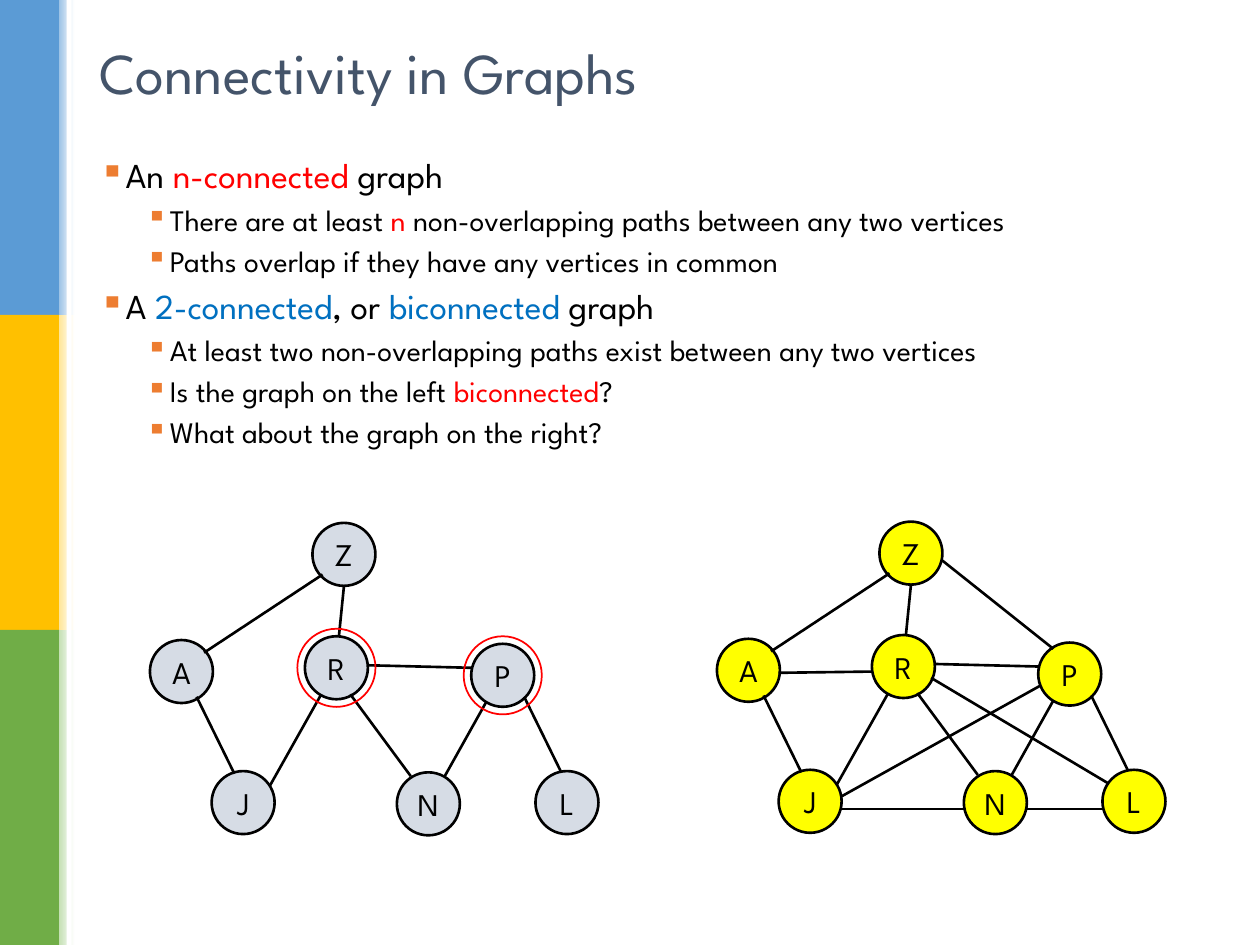
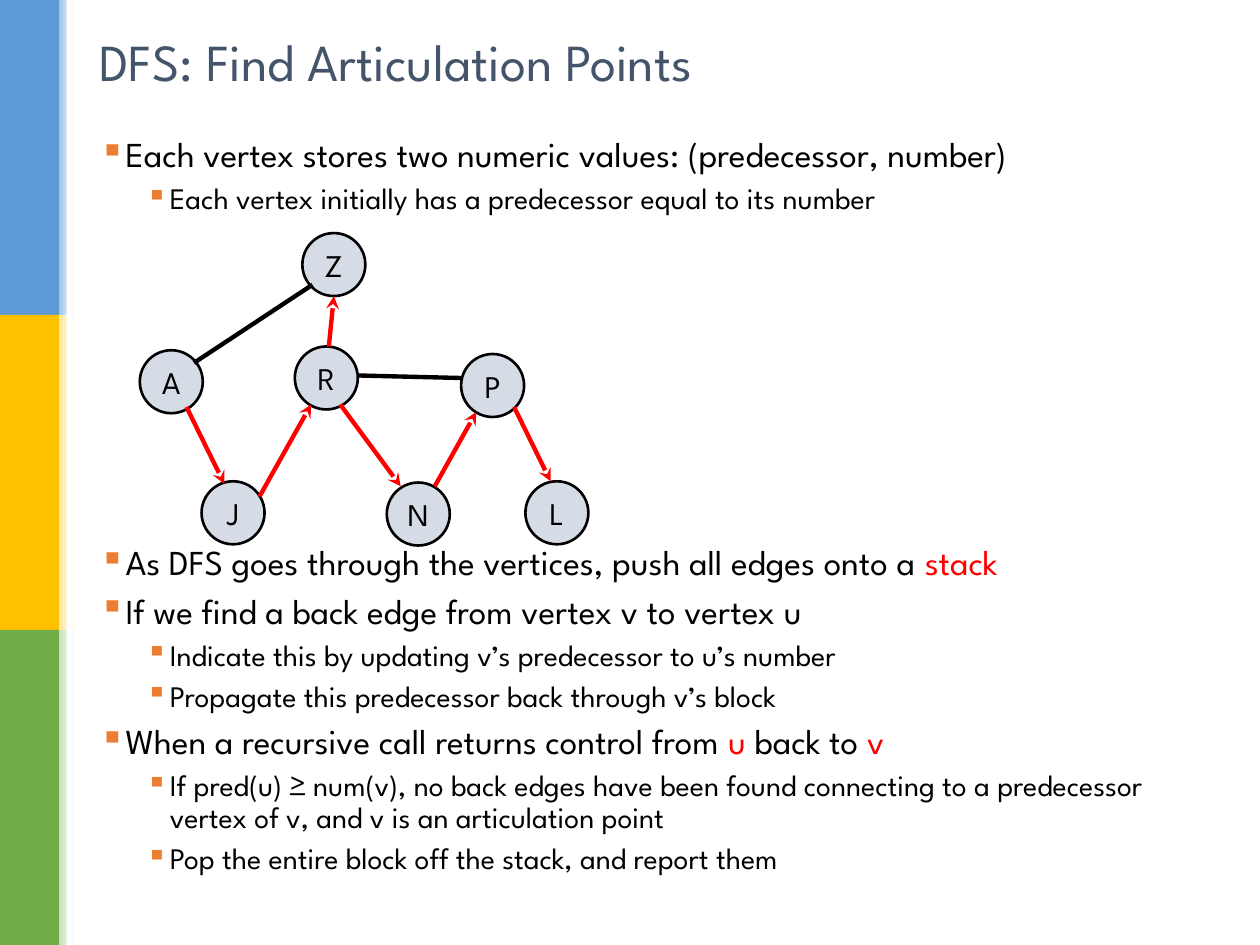
from lxml import etree
from pptx import Presentation
from pptx import util as u
from pptx.dml.color import RGBColor
from pptx.enum import shapes, text
from pptx.oxml.ns import qn

FONT = "League Spartan"
BLACK = RGBColor(0x00, 0x00, 0x00)
WHITE = RGBColor(0xFF, 0xFF, 0xFF)
RED = RGBColor(0xFF, 0x00, 0x00)
BLUE = RGBColor(0x00, 0x70, 0xC0)
SLATE = RGBColor(0x44, 0x54, 0x6A)
ORANGE = RGBColor(0xED, 0x7D, 0x31)
GREY = RGBColor(0xD6, 0xDC, 0xE5)
YELLOW = RGBColor(0xFF, 0xFF, 0x00)

WIDTH, HEIGHT = 10, 7.5
MARGIN = 0.69
HANGING = 0.19
BAND_WIDTH, FADE_WIDTH = 0.47, 0.12
BANDS = [  # band colour, fade colour, from top to bottom
    (RGBColor(0x5B, 0x9B, 0xD5), RGBColor(0x9D, 0xC3, 0xE6)),
    (RGBColor(0xFF, 0xC0, 0x00), RGBColor(0xFF, 0xE6, 0x99)),
    (RGBColor(0x70, 0xAD, 0x47), RGBColor(0xC5, 0xE0, 0xB4)),
]
LEVELS = [(0.19, 20), (0.56, 17)]  # indent, text size

# Vertices and edges are in inches from the top left of the graph.
VERTEX_SIZE = 0.5
RING_GAP = 0.06
VERTICES = {
    "A": (0, 0.93), "J": (0.49, 1.97), "Z": (1.29, 0), "P": (2.55, 0.96),
    "N": (1.96, 1.98), "L": (3.06, 1.97), "R": (1.23, 0.9),
}
TREE_EDGES = {  # each runs in the direction of the search
    "AJ": (0.37, 1.38, 0.67, 1.99),
    "JR": (0.95, 2.09, 1.36, 1.36),
    "RZ": (1.5, 0.9, 1.54, 0.5),
    "RN": (1.59, 1.36, 2.07, 2.01),
    "NP": (2.34, 2.01, 2.67, 1.42),
    "PL": (2.97, 1.38, 3.26, 1.97),
}
OTHER_EDGES = {
    "ZA": (1.37, 0.41, 0.43, 1.03),
    "RP": (1.73, 1.13, 2.55, 1.15),
}
BICONNECTING_EDGES = {
    "PZ": (2.67, 1.01, 1.79, 0.31),
    "RL": (1.7, 1.24, 3.11, 2.08),
    "JN": (0.99, 2.28, 1.96, 2.28),
    "PJ": (2.57, 1.3, 0.99, 2.18),
    "NL": (2.46, 2.28, 3.06, 2.28),
    "AR": (0.49, 1.2, 1.23, 1.19),
}

# Each point is a level and its runs; a run is a string or (string, colour).
CONNECTIVITY = [
    (0, ["An ", ("n-connected ", RED), "graph"]),
    (1, ["There are at least ", ("n", RED),
         " non-overlapping paths between any two vertices"]),
    (1, ["Paths overlap if they have any vertices in common"]),
    (0, ["A ", ("2-connected", BLUE), ", or ", ("biconnected", BLUE), " graph"]),
    (1, ["At least two non-overlapping paths exist between any two vertices"]),
    (1, ["Is the graph on the left ", ("biconnected", RED), "?"]),
    (1, ["What about the graph on the right?"]),
]
VERTEX_VALUES = [
    (0, ["Each vertex stores two numeric values: (predecessor, number)"]),
    (1, ["Each vertex initially has a predecessor equal to its number"]),
]
ARTICULATION = [
    (0, ["As DFS goes through the vertices, push all edges onto a ", ("stack", RED)]),
    (0, ["If we find a back edge from vertex v to vertex u"]),
    (1, ["Indicate this by updating v’s predecessor to u’s number"]),
    (1, ["Propagate this predecessor back through v’s block"]),
    (0, ["When a recursive call returns control from ", ("u ", RED),
         "back to ", ("v", RED)]),
    (1, ["If pred(u) ≥ num(v), no back edges have been found connecting to a "
         "predecessor vertex of v, and v is an articulation point"]),
    (1, ["Pop the entire block off the stack, and report them"]),
]

SLIDES = [
    dict(title="Connectivity in Graphs", title_size=33, title_height=0.68,
         points=[(1.21, 2.6, CONNECTIVITY)],
         graphs=[
             dict(origin=(1.19, 4.15), fill=GREY, rings="RP",
                  edges={**TREE_EDGES, **OTHER_EDGES}),
             dict(origin=(5.69, 4.14), fill=YELLOW,
                  edges={**TREE_EDGES, **OTHER_EDGES, **BICONNECTING_EDGES}),
         ]),
    dict(title="DFS: Find Articulation Points", title_size=29.7, title_height=0.51,
         points=[(1.04, 0.8, VERTEX_VALUES), (4.28, 2.95, ARTICULATION)],
         graphs=[
             dict(origin=(1.11, 1.85), fill=GREY, weight=2.5,
                  edges=OTHER_EDGES, arrows=TREE_EDGES),
         ]),
]


def add_preset(slide, preset, left, top, width, height):
    shape = slide.shapes.add_shape(
        preset, *(u.Inches(n) for n in (left, top, width, height)))
    shape.shadow.inherit = False
    return shape


def add_band(slide, left, top, width, height, colour, fade_to=None):
    band = add_preset(slide, shapes.MSO_SHAPE.RECTANGLE, left, top, width, height)
    band.line.fill.background()
    if fade_to is None:
        band.fill.solid()
        band.fill.fore_color.rgb = colour
    else:
        band.fill.gradient()
        band.fill.gradient_angle = 0
        for stop, stop_colour in zip(band.fill.gradient_stops, (colour, fade_to)):
            stop.color.rgb = stop_colour
    return band


def decorate_layout(layout, slide):
    """Draw the side bands on a slide and move them to its layout."""
    height = HEIGHT / len(BANDS)
    bands = []
    for row, (colour, fade) in enumerate(BANDS):
        top = row * height
        bands += [add_band(slide, 0, top, BAND_WIDTH, height, colour),
                  add_band(slide, BAND_WIDTH, top, FADE_WIDTH, height, fade, WHITE)]
    bands.append(add_band(slide, 0.53, 0, 0.04, HEIGHT, WHITE))
    for band in bands:
        layout.shapes.element.append(band.element)


def add_run(paragraph, words, size, colour=BLACK):
    run = paragraph.add_run()
    run.text = words
    run.font.name = FONT
    run.font.size = u.Pt(size)
    run.font.color.rgb = colour


def format_title(slide, words, size, height):
    title = slide.shapes.title
    title.left, title.top = u.Inches(MARGIN), u.Inches(0.26)
    title.width, title.height = u.Inches(8.62), u.Inches(height)
    frame = title.text_frame
    frame.auto_size = text.MSO_AUTO_SIZE.NONE
    frame.vertical_anchor = text.MSO_ANCHOR.MIDDLE
    frame.paragraphs[0].alignment = text.PP_ALIGN.LEFT
    frame.paragraphs[0].line_spacing = 0.9
    add_run(frame.paragraphs[0], words, size, SLATE)


def add_bullet(paragraph, indent):
    properties = paragraph._p.get_or_add_pPr()
    properties.set("marL", str(u.Inches(indent)))
    properties.set("indent", str(-u.Inches(HANGING)))
    colour = etree.SubElement(properties, qn("a:buClr"))
    etree.SubElement(colour, qn("a:srgbClr"), val=str(ORANGE))
    etree.SubElement(properties, qn("a:buChar"), char="▪")


def add_points(slide, top, height, points):
    box = slide.shapes.add_textbox(
        *(u.Inches(n) for n in (MARGIN, top, 8.95, height)))
    frame = box.text_frame
    frame.word_wrap = True
    for number, (level, runs) in enumerate(points):
        paragraph = frame.add_paragraph() if number else frame.paragraphs[0]
        indent, size = LEVELS[level]
        paragraph.level = level
        paragraph.line_spacing = 0.9
        paragraph.space_before = u.Pt(0.3 * size)
        add_bullet(paragraph, indent)
        for run in runs:
            words, colour = (run, BLACK) if isinstance(run, str) else run
            add_run(paragraph, words, size, colour)


def add_vertex(slide, name, left, top, fill):
    vertex = add_preset(slide, shapes.MSO_SHAPE.OVAL, left, top,
                        VERTEX_SIZE, VERTEX_SIZE)
    vertex.fill.solid()
    vertex.fill.fore_color.rgb = fill
    vertex.line.color.rgb = BLACK
    vertex.line.width = u.Pt(1.5)
    frame = vertex.text_frame
    frame.word_wrap = False
    frame.vertical_anchor = text.MSO_ANCHOR.MIDDLE
    frame.paragraphs[0].alignment = text.PP_ALIGN.CENTER
    add_run(frame.paragraphs[0], name, 18)


def add_ring(slide, left, top):
    size = VERTEX_SIZE + 2 * RING_GAP
    ring = add_preset(slide, shapes.MSO_SHAPE.OVAL,
                      left - RING_GAP, top - RING_GAP, size, size)
    ring.fill.background()
    ring.line.color.rgb = RED
    ring.line.width = u.Pt(1)


def add_edge(slide, ends, colour, weight, arrow=False):
    edge = slide.shapes.add_connector(
        shapes.MSO_CONNECTOR.STRAIGHT, *(u.Inches(n) for n in ends))
    edge.line.color.rgb = colour
    edge.line.width = u.Pt(weight)
    properties = edge.element.spPr
    if arrow:
        etree.SubElement(properties.find(qn("a:ln")), qn("a:tailEnd"), type="stealth")
    etree.SubElement(properties, qn("a:effectLst"))


def add_graph(slide, origin, fill, edges, arrows=None, rings="", weight=1.5):
    x, y = origin
    for name, (left, top) in VERTICES.items():
        add_vertex(slide, name, x + left, y + top, fill)
    for group, colour, arrow in ((edges, BLACK, False), (arrows or {}, RED, True)):
        for x1, y1, x2, y2 in group.values():
            add_edge(slide, (x + x1, y + y1, x + x2, y + y2), colour, weight, arrow)
    for name in rings:
        left, top = VERTICES[name]
        add_ring(slide, x + left, y + top)


def main():
    deck = Presentation()
    deck.slide_width, deck.slide_height = u.Inches(WIDTH), u.Inches(HEIGHT)
    layout = deck.slide_layouts.get_by_name("Title Only")
    for placeholder in list(layout.placeholders)[1:]:
        layout.shapes.element.remove(placeholder.element)
    for number, content in enumerate(SLIDES):
        slide = deck.slides.add_slide(layout)
        if number == 0:
            decorate_layout(layout, slide)
        format_title(slide, content["title"], content["title_size"],
                     content["title_height"])
        for top, height, points in content["points"]:
            add_points(slide, top, height, points)
        for graph in content["graphs"]:
            add_graph(slide, **graph)
    deck.save("out.pptx")


if __name__ == "__main__":
    main()
